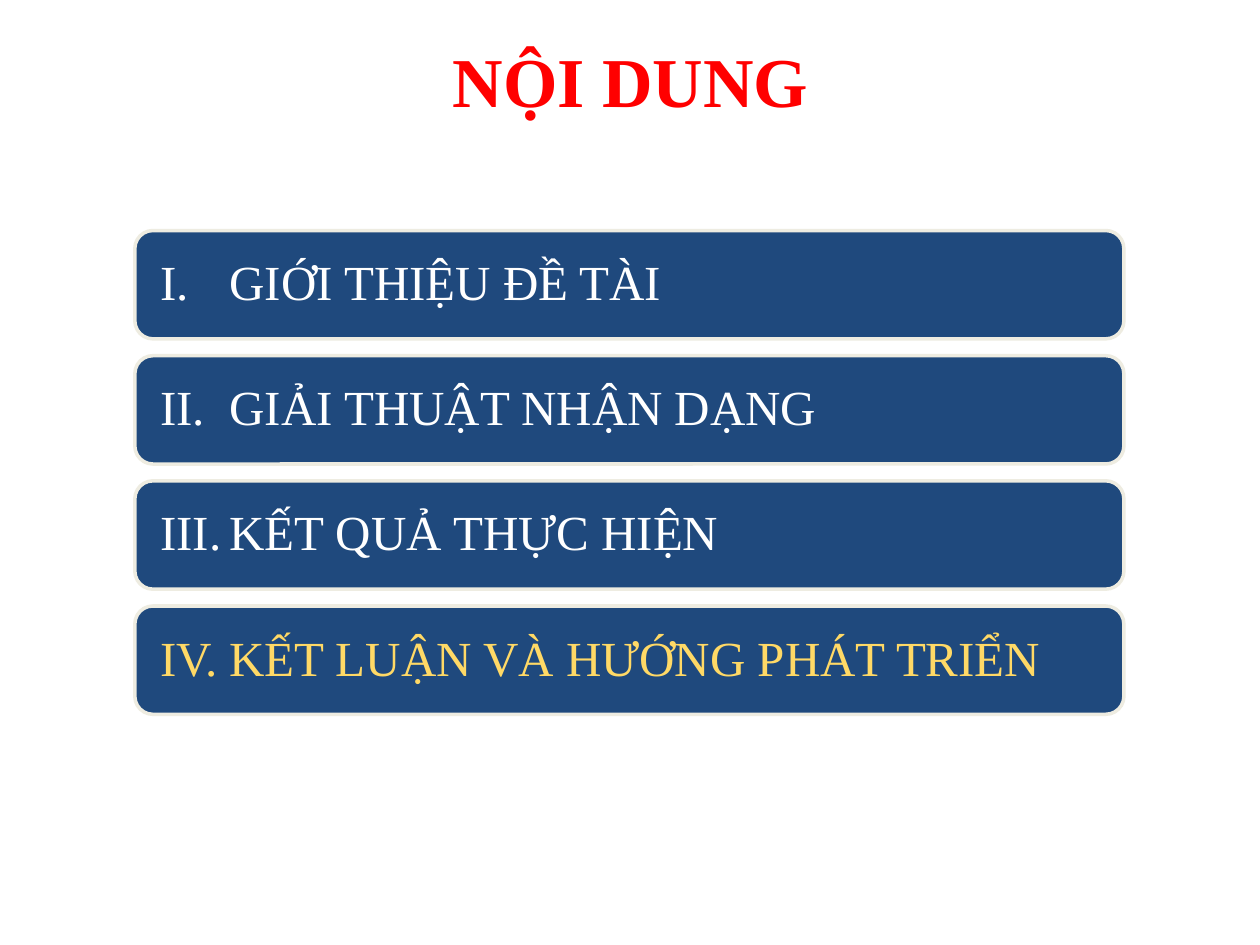
import dataclasses

import pptx
import pptx.dml.color
import pptx.enum.shapes
import pptx.enum.text
import pptx.slide
import pptx.text.text
import pptx.util

Inches = pptx.util.Inches
Pt = pptx.util.Pt
Align = pptx.enum.text.PP_ALIGN
Anchor = pptx.enum.text.MSO_ANCHOR

FONT = "Times New Roman"
COLORS = {
    "title": "FF0000",
    "bar": "1F497D",
    "edge": "EEECE1",
    "text": "FFFFFF",
    "active": "FFD966",
}
LEFT, TOP, WIDTH, HEIGHT = 1.07, 1.83, 7.85, 0.86
PITCH = 2.98 / 3
INDENT = 0.55


@dataclasses.dataclass
class Item:
    mark: str
    text: str
    color: str = "text"


ITEMS = [
    Item("I.", "GIỚI THIỆU ĐỀ TÀI"),
    Item("II.", "GIẢI THUẬT NHẬN DẠNG"),
    Item("III.", "KẾT QUẢ THỰC HIỆN"),
    Item("IV.", "KẾT LUẬN VÀ HƯỚNG PHÁT TRIỂN", "active"),
]


def get_rgb(name: str) -> pptx.dml.color.RGBColor:
    return pptx.dml.color.RGBColor.from_string(COLORS[name])


def add_run(para: pptx.text.text._Paragraph, text: str, size: int,
            color: str, bold: bool = False) -> None:
    run = para.add_run()
    run.text = text
    run.font.name = FONT
    run.font.size = Pt(size)
    run.font.bold = bold
    run.font.color.rgb = get_rgb(color)


def set_title(slide: pptx.slide.Slide, text: str) -> None:
    title = slide.shapes.title
    title.left, title.top = Inches(3.2), Inches(0.25)
    title.width, title.height = Inches(3.61), Inches(0.76)
    frame = title.text_frame
    frame.auto_size = pptx.enum.text.MSO_AUTO_SIZE.NONE
    frame.vertical_anchor = Anchor.TOP
    para = frame.paragraphs[0]
    para.alignment = Align.CENTER
    add_run(para, text, 40, "title", bold=True)


def add_bar(slide: pptx.slide.Slide, item: Item, top: float) -> None:
    bar = slide.shapes.add_shape(
        pptx.enum.shapes.MSO_SHAPE.ROUNDED_RECTANGLE,
        Inches(LEFT), Inches(top), Inches(WIDTH), Inches(HEIGHT))
    bar.shadow.inherit = False
    bar.fill.solid()
    bar.fill.fore_color.rgb = get_rgb("bar")
    bar.line.color.rgb = get_rgb("edge")
    bar.line.width = Pt(2)

    frame = bar.text_frame
    frame.word_wrap = True
    frame.vertical_anchor = Anchor.MIDDLE
    frame.margin_left = frame.margin_top = frame.margin_bottom = Inches(0.16)
    frame.margin_right = Inches(0.12)
    para = frame.paragraphs[0]
    para.alignment = Align.LEFT
    para.line_spacing = 0.9
    # A hanging indent lines up the headings after their numerals.
    props = para._p.get_or_add_pPr()
    props.set("marL", str(Inches(INDENT)))
    props.set("indent", str(-Inches(INDENT)))
    add_run(para, f"{item.mark}\t{item.text}", 28, item.color)


def main() -> None:
    deck = pptx.Presentation()
    deck.slide_width, deck.slide_height = Inches(10), Inches(7.5)
    slide = deck.slides.add_slide(deck.slide_layouts.get_by_name("Title Only"))
    set_title(slide, "NỘI DUNG")
    for row, item in enumerate(ITEMS):
        add_bar(slide, item, TOP + row * PITCH)
    deck.save("out.pptx")


if __name__ == "__main__":
    main()
